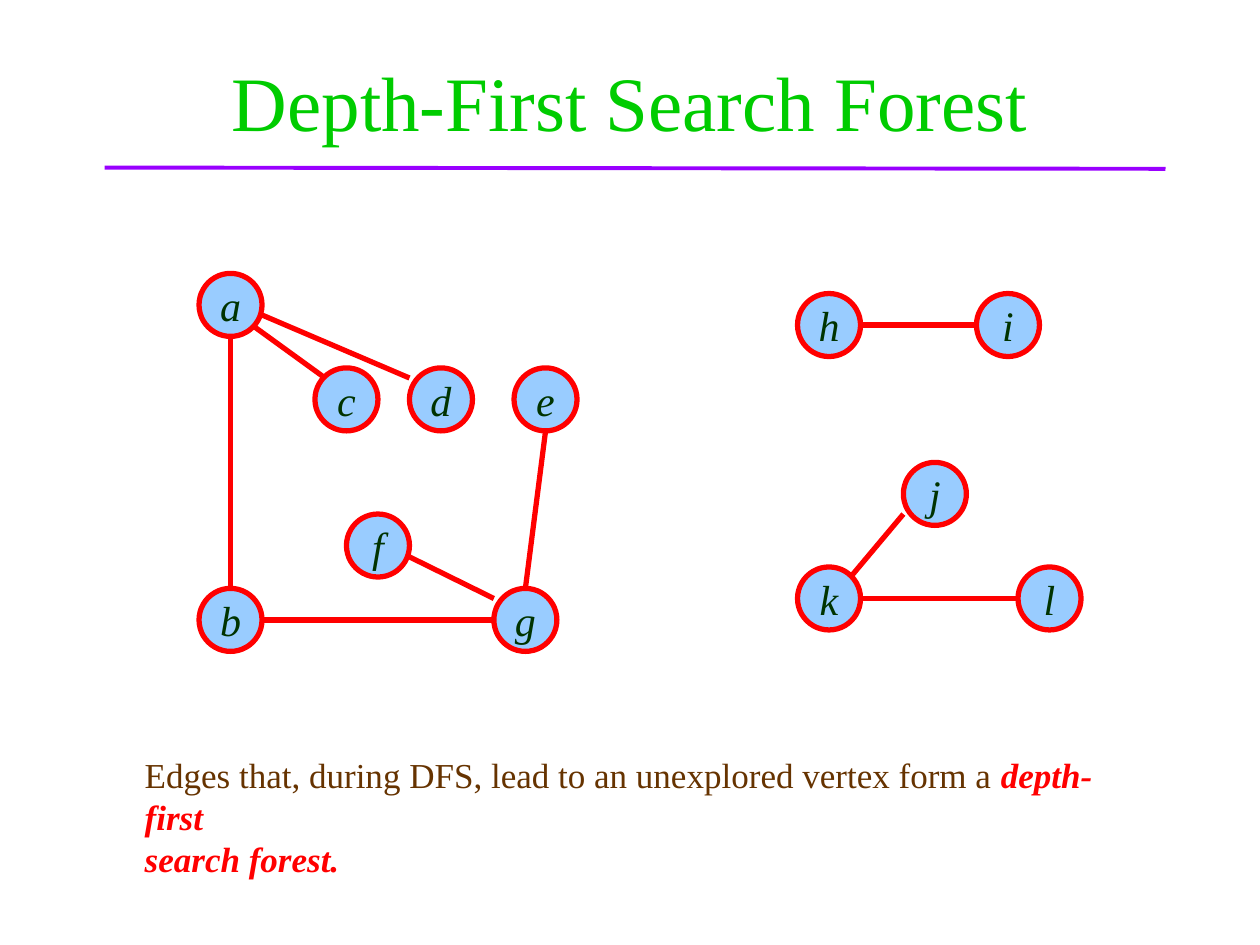
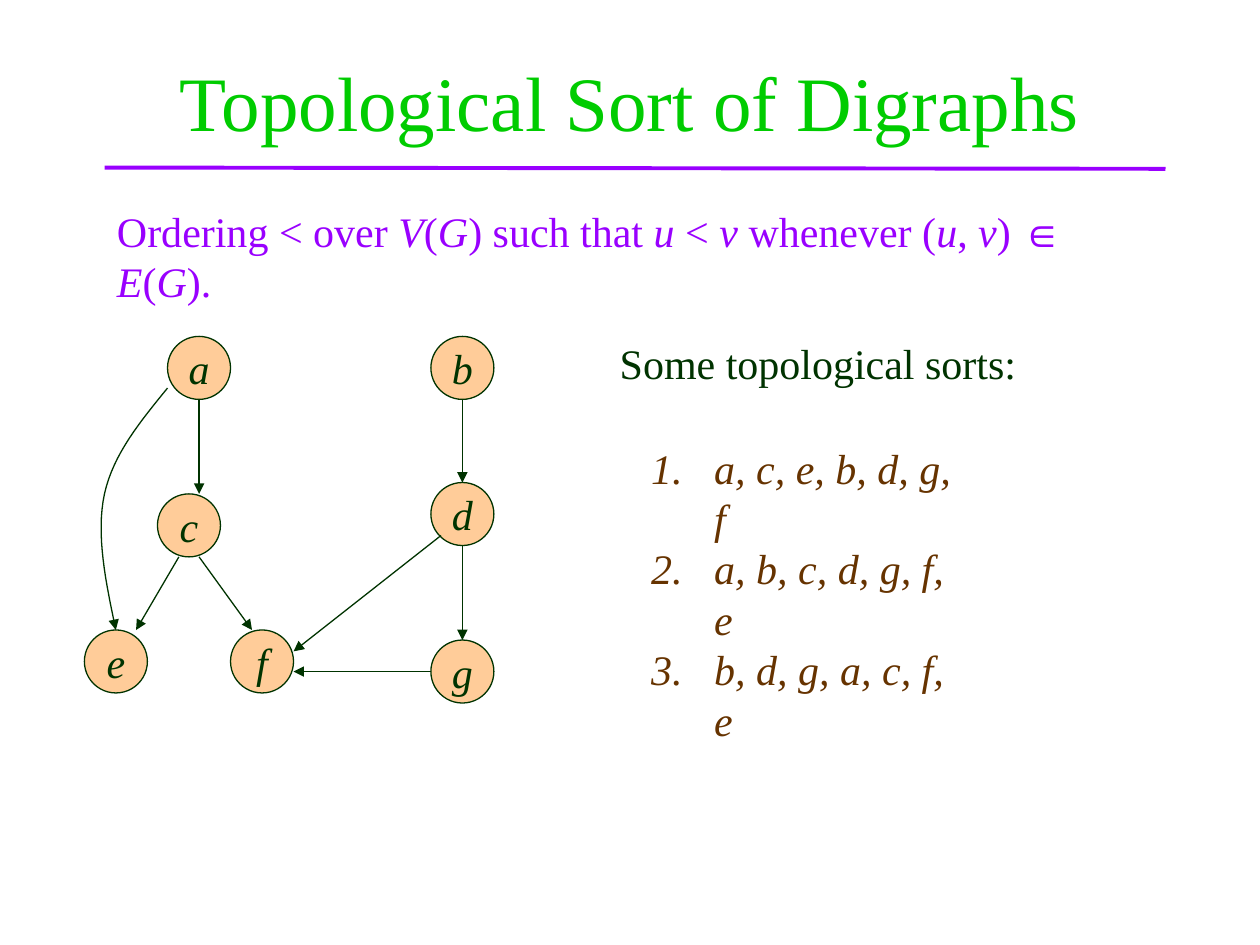
from pptx import Presentation, util as u
from pptx.dml.color import RGBColor
from pptx.enum import shapes, text
from pptx.oxml import xmlchemy
from pptx.oxml.ns import qn
from lxml import etree

COLOURS = {
    "title": "00CC00",
    "violet": "9900FF",
    "ink": "003300",
    "brown": "663300",
    "red": "FF0000",
    "blue": "99CCFF",
    "peach": "FFCC99",
}
NODE_SIZE = 0.5


def colour(name):
    return RGBColor.from_string(COLOURS[name])


def bezier(start, first, second, end, steps=16):
    """Points on a cubic curve, without its start."""
    for step in range(1, steps + 1):
        t = step / steps
        s = 1 - t
        yield tuple(
            s**3 * a + 3 * s * s * t * b + 3 * s * t * t * c + t**3 * d
            for a, b, c, d in zip(start, first, second, end)
        )


class Deck:
    """Holds the presentation, its style and the current slide."""

    font = "Times New Roman"

    def __init__(self):
        self.deck = Presentation()
        self.deck.slide_width = u.Inches(10)
        self.deck.slide_height = u.Inches(7.5)
        self.page = None

    def add_page(self, title):
        self.page = self.deck.slides.add_slide(self.deck.slide_layouts[6])
        self.add_text((0.75, 0.17, 8.5, 1.25), [[(title, "title", "")]], 44,
                      align=text.PP_ALIGN.CENTER, anchor=text.MSO_ANCHOR.MIDDLE, wrap=True)
        self.add_line((0.83, 1.33), (9.25, 1.34), "violet", 2.25)

    def add_span(self, para, words, size, ink, style="", font=None):
        span = para.add_run()
        span.text = words
        span.font.name = font or self.font
        span.font.size = u.Pt(size)
        span.font.bold = "b" in style
        span.font.italic = "i" in style
        span.font.color.rgb = colour(ink)

    def add_text(self, place, lines, size, align=text.PP_ALIGN.LEFT,
                 anchor=text.MSO_ANCHOR.TOP, wrap=False, numbered=False):
        """Each line is a list of (words, colour, style[, font])."""
        box = self.page.shapes.add_textbox(*map(u.Inches, place))
        frame = box.text_frame
        frame.word_wrap = wrap
        frame.vertical_anchor = anchor
        for index, spans in enumerate(lines):
            para = frame.paragraphs[0] if index == 0 else frame.add_paragraph()
            para.alignment = align
            if numbered:
                self.number(para)
            for words, ink, style, *font in spans:
                self.add_span(para, words, size, ink, style, *font)

    def number(self, para):
        props = para._p.get_or_add_pPr()
        props.set("marL", str(u.Inches(0.5)))
        props.set("indent", str(-u.Inches(0.5)))
        etree.SubElement(props, qn("a:buAutoNum"), type="arabicPeriod")

    def add_node(self, name, left, top, fill, line, width):
        node = self.page.shapes.add_shape(
            shapes.MSO_SHAPE.OVAL, *map(u.Inches, (left, top, NODE_SIZE, NODE_SIZE)))
        node.shadow.inherit = False
        node.fill.solid()
        node.fill.fore_color.rgb = colour(fill)
        node.line.color.rgb = colour(line)
        node.line.width = u.Pt(width)
        frame = node.text_frame
        frame.word_wrap = False
        frame.vertical_anchor = text.MSO_ANCHOR.MIDDLE
        para = frame.paragraphs[0]
        para.alignment = text.PP_ALIGN.CENTER
        self.add_span(para, name, 24, "ink", "i")

    def style_line(self, shape, ink, width, arrow):
        shape.line.color.rgb = colour(ink)
        shape.line.width = u.Pt(width)
        if arrow:
            etree.SubElement(shape.line._get_or_add_ln(), qn("a:tailEnd"), type="triangle")

    def add_line(self, start, end, ink, width, arrow=False):
        line = self.page.shapes.add_connector(
            shapes.MSO_CONNECTOR.STRAIGHT, *map(u.Inches, start + end))
        self.style_line(line, ink, width, arrow)
        etree.SubElement(line._element.spPr, qn("a:effectLst"))

    def add_curve(self, start, points, ink, width):
        builder = self.page.shapes.build_freeform(*map(u.Inches, start))
        builder.add_line_segments(
            [tuple(map(u.Inches, point)) for point in points], close=False)
        curve = builder.convert_to_shape()
        curve.shadow.inherit = False
        curve.fill.background()
        self.style_line(curve, ink, width, arrow=True)


def forest_page(deck):
    deck.add_page("Depth-First Search Forest")

    # Vertices
    vertices = {
        "a": (1.58, 2.17), "b": (1.58, 4.67), "c": (2.5, 2.92), "d": (3.25, 2.92),
        "e": (4.08, 2.92), "f": (2.75, 4.08), "g": (3.92, 4.67), "h": (6.33, 2.33),
        "i": (7.75, 2.33), "j": (7.17, 3.67), "k": (6.33, 4.5), "l": (8.08, 4.5),
    }
    for name, (left, top) in vertices.items():
        deck.add_node(name, left, top, "blue", "red", 3)

    # Tree edges
    tree_edges = [
        ((2, 2.58), (2.58, 3)), ((2.08, 2.5), (3.25, 3)),
        ((1.83, 2.67), (1.83, 4.67)), ((2.08, 4.92), (3.92, 4.92)),
        ((3.25, 4.42), (3.92, 4.75)), ((4.17, 4.67), (4.33, 3.42)),
        ((6.83, 2.58), (7.75, 2.58)), ((7.17, 4.08), (6.75, 4.58)),
        ((6.83, 4.75), (8.08, 4.75)),
    ]
    for start, end in tree_edges:
        deck.add_line(start, end, "red", 3)

    # Definition
    deck.add_text((1.05, 5.93, 8.18, 0.77), [
        [("Edges that, during DFS, lead to an unexplored vertex form a ", "brown", ""),
         ("depth-first", "red", "bi")],
        [("search forest.", "red", "bi")],
    ], 20)


def sort_page(deck):
    deck.add_page("Topological Sort of Digraphs")

    # Definition
    pieces = [
        ("Ordering < over ", ""), ("V", "i"), ("(", ""), ("G", "i"), (") such that ", ""),
        ("u", "i"), (" < ", ""), ("v", "i"), (" whenever (", ""), ("u", "i"), (", ", ""),
        ("v", "i"), (") ", ""), ("∈ ", "", "Arial"), ("E", "i"), ("(", ""), ("G", "i"),
        (").", ""),
    ]
    definition = [(words, "violet", *rest) for words, *rest in pieces]
    deck.add_text((0.83, 1.58, 8.3, 0.5), [definition], 24, wrap=True)

    # Vertices
    vertices = {
        "a": (1.33, 2.67), "c": (1.25, 3.92), "e": (0.67, 5), "f": (1.83, 5),
        "b": (3.42, 2.67), "d": (3.42, 3.83), "g": (3.42, 5.08),
    }
    for name, (left, top) in vertices.items():
        deck.add_node(name, left, top, "peach", "ink", 0.75)

    # Directed edges
    arrows = [
        ((3.67, 3.17), (3.67, 3.83)), ((3.67, 4.33), (3.67, 5.08)),
        ((3.5, 4.25), (2.33, 5.17)), ((3.42, 5.33), (2.33, 5.33)),
        ((1.58, 3.17), (1.58, 3.92)), ((1.42, 4.42), (1.08, 5)),
        ((1.58, 4.42), (2, 5)),
    ]
    for start, end in arrows:
        deck.add_line(start, end, "ink", 0.75, arrow=True)
    start, middle, end = (1.33, 3.08), (0.83, 3.92), (0.92, 5)
    curve = [*bezier(start, (1.12, 3.34), (0.9, 3.6), middle),
             *bezier(middle, (0.76, 4.24), (0.84, 4.62), end)]
    deck.add_curve(start, curve, "ink", 0.75)

    # Sample orders
    deck.add_text((4.82, 2.63, 3.43, 0.5), [[("Some topological sorts:", "ink", "")]], 24)
    orders = ["acebdgf", "abcdgfe", "bdgacfe"]
    deck.add_text((5.07, 3.46, 2.75, 1.3),
                  [[(", ".join(order), "brown", "i")] for order in orders],
                  24, numbered=True)


def main():
    deck = Deck()
    forest_page(deck)
    sort_page(deck)
    deck.deck.save("out.pptx")


if __name__ == "__main__":
    main()
